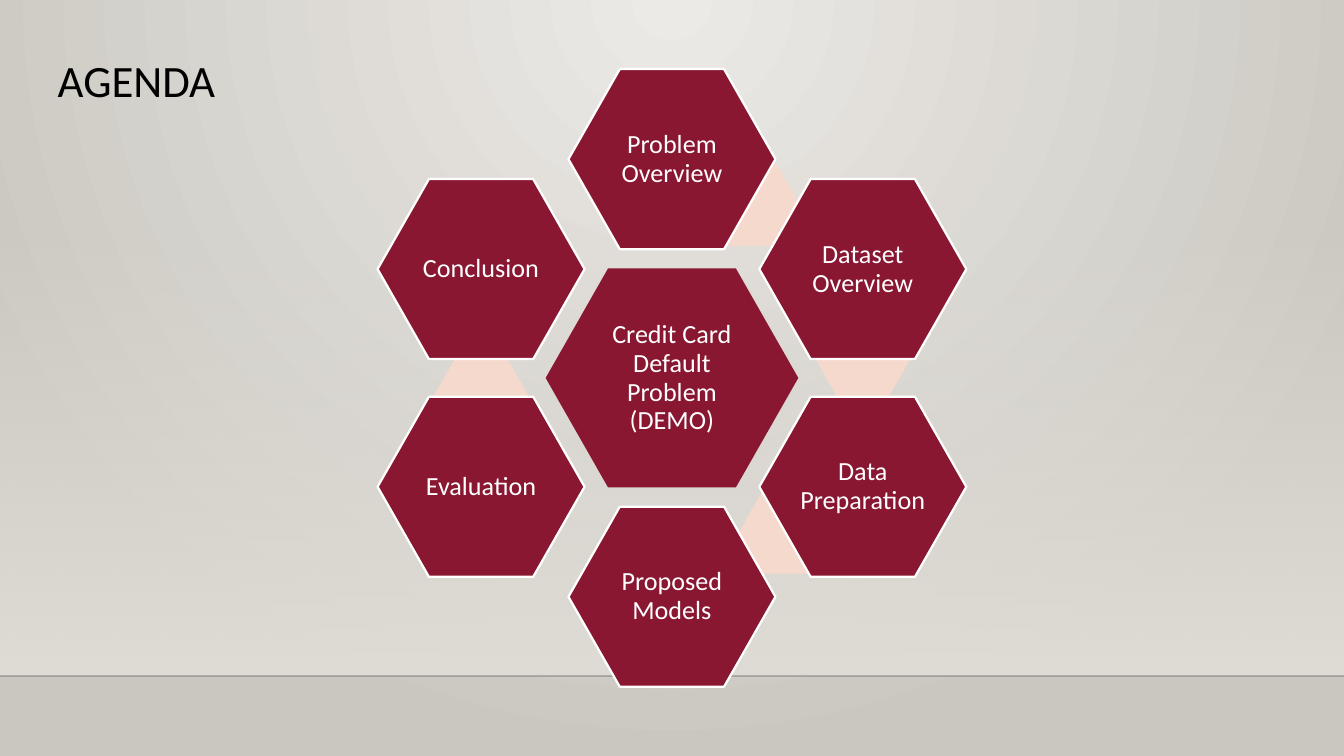
from lxml.etree import SubElement as Sub
from pptx import Presentation
from pptx.dml.color import RGBColor as Rgb
from pptx.enum.shapes import MSO_CONNECTOR as Link, MSO_SHAPE as Form
from pptx.enum.text import MSO_ANCHOR as Anchor, PP_ALIGN as Align
from pptx.oxml.ns import qn
from pptx.util import Inches, Pt

WIDE = 10
HIGH = WIDE * 9 / 16
MID_X, MID_Y = WIDE / 2, HIGH / 2
COL, ROW = 1.42, 0.81
FONT = "Calibri"
INK = {
    "wine": "891731", "peach": "F5D9CC", "white": "FFFFFF", "black": "000000",
    "light": "ECEAE7", "dark": "CAC7C1", "floor": "DFDBD5",
}
TOPICS = [
    ("Problem\vOverview", 0, -2.01), ("Dataset\nOverview", 1, -1),
    ("Data\vPreparation", 1, 1), ("Proposed\vModels", 0, 2.01),
    ("Evaluation", -1, 1), ("Conclusion", -1, -1),
]
ACCENTS = [(0.42, -1.59), (1, -0.18), (0.6, 1.42), (-1, 0.17)]


def tint(name):
    return Rgb.from_string(INK[name])


def fade(color, share):
    Sub(color, qn("a:alpha"), val=str(share * 1000))


def blend(fill, stops, focus=None):
    fill.solid()
    old = fill._xPr.find(qn("a:solidFill"))
    grad = old.makeelement(qn("a:gradFill"), {"rotWithShape": "1"})
    row = Sub(grad, qn("a:gsLst"))
    for pos, name, share in stops:
        stop = Sub(row, qn("a:gs"), pos=str(pos * 1000))
        fade(Sub(stop, qn("a:srgbClr"), val=INK[name]), share)
    if focus:
        way = Sub(grad, qn("a:path"), {"path": "circle"})
        Sub(way, qn("a:fillToRect"), {k: str(v * 1000) for k, v in focus.items()})
    else:
        Sub(grad, qn("a:lin"), ang="5400000", scaled="0")
    fill._xPr.replace(old, grad)


def stage(slide):
    blend(slide.background.fill, [(0, "light", 100), (100, "dark", 100)],
          {"l": 43, "t": 0, "r": 43, "b": 100})
    top, base = 1.66, 5.03
    wall = slide.shapes.add_shape(
        Form.RECTANGLE, 0, Inches(top), Inches(WIDE), Inches(base - top))
    wall.shadow.inherit = False
    wall.line.fill.background()
    blend(wall.fill, [(0, "floor", 0), (100, "floor", 100)])
    edge = slide.shapes.add_connector(
        Link.STRAIGHT, 0, Inches(base), Inches(WIDE), Inches(base))
    edge.line.width = Pt(1)
    edge.line.color.rgb = tint("black")
    props = edge._element.spPr
    fade(next(props.iter(qn("a:srgbClr"))), 20)
    Sub(props, qn("a:effectLst"))


def write(frame, text, size, name, align, gap=1.0):
    frame.margin_left = frame.margin_right = 0
    frame.margin_top = frame.margin_bottom = 0
    frame.text = text
    for para in frame.paragraphs:
        para.alignment = align
        para.line_spacing = gap
        font = para.font
        font.name, font.size, font.color.rgb = FONT, Pt(size), tint(name)


def title(slide, text):
    box = slide.shapes.add_textbox(
        Inches(0.42), Inches(0.38), Inches(1.57), Inches(0.56))
    box.text_frame.word_wrap = True
    write(box.text_frame, text, 24, "black", Align.LEFT)
    box.text_frame.margin_left = box.text_frame.margin_top = Inches(0.01)


def hexa(slide, col, row, wide, high, fill, text="", rim=False):
    cell = slide.shapes.add_shape(
        Form.HEXAGON,
        Inches(MID_X + col * COL - wide / 2), Inches(MID_Y + row * ROW - high / 2),
        Inches(wide), Inches(high))
    cell.adjustments[0] = 0.285
    cell.shadow.inherit = False
    cell.fill.solid()
    cell.fill.fore_color.rgb = tint(fill)
    if rim:
        cell.line.color.rgb = tint("white")
        cell.line.width = Pt(1.2)
    else:
        cell.line.fill.background()
    if text:
        frame = cell.text_frame
        frame.word_wrap = False
        frame.vertical_anchor = Anchor.MIDDLE
        write(frame, text, 14, "white", Align.CENTER, 0.92)


def main():
    deck = Presentation()
    deck.slide_width, deck.slide_height = Inches(WIDE), Inches(HIGH)
    slide = deck.slides.add_slide(deck.slide_layouts[6])
    stage(slide)
    title(slide, "AGENDA")
    hexa(slide, 0, 0, 1.88, 1.63, "wine",
         "Credit Card\vDefault\vProblem\v(DEMO)")
    for col, row in ACCENTS:
        hexa(slide, col, row, 0.71, 0.61, "peach")
    for text, col, row in TOPICS:
        hexa(slide, col, row, 1.54, 1.34, "wine", text, rim=True)
    deck.save("out.pptx")


main()
